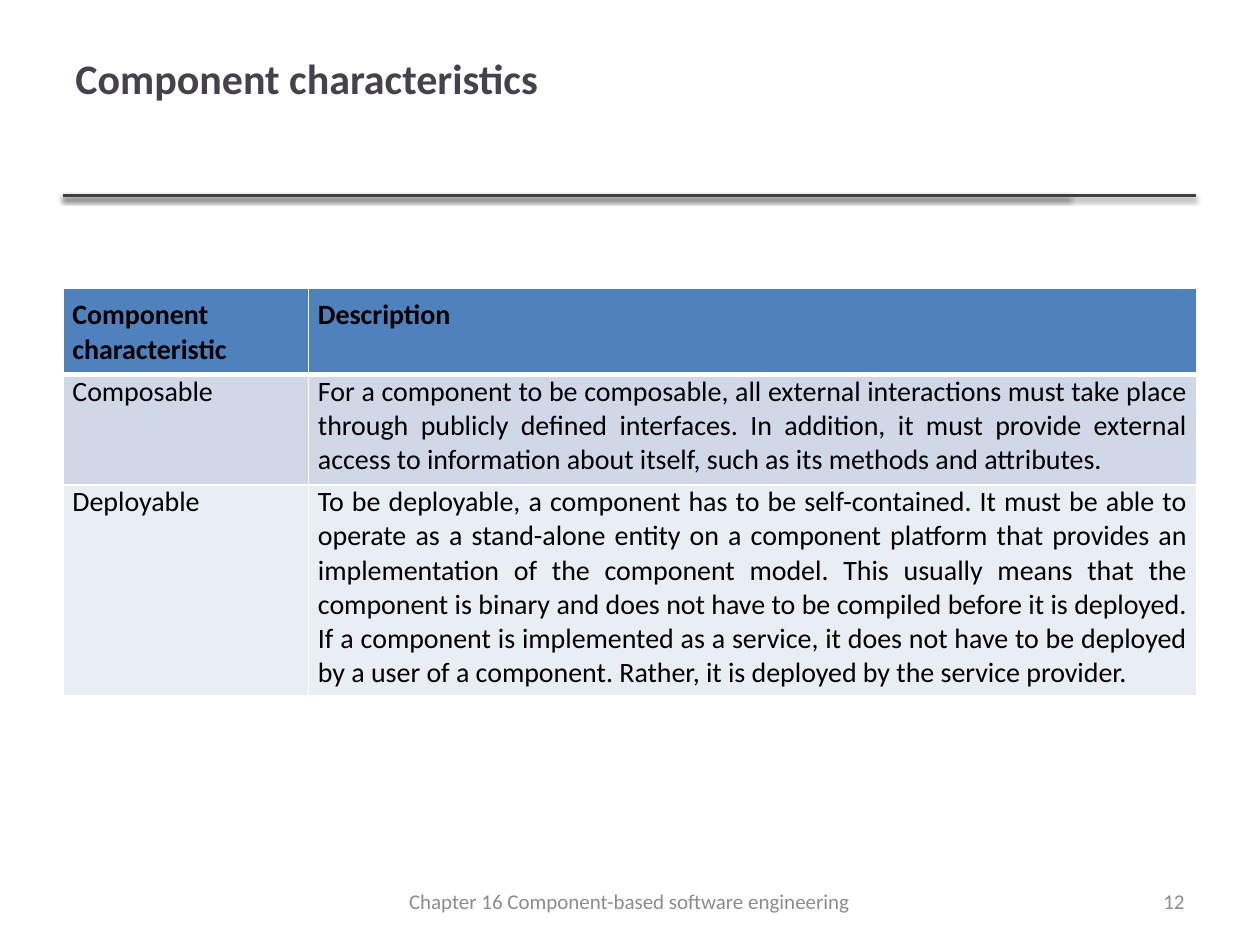
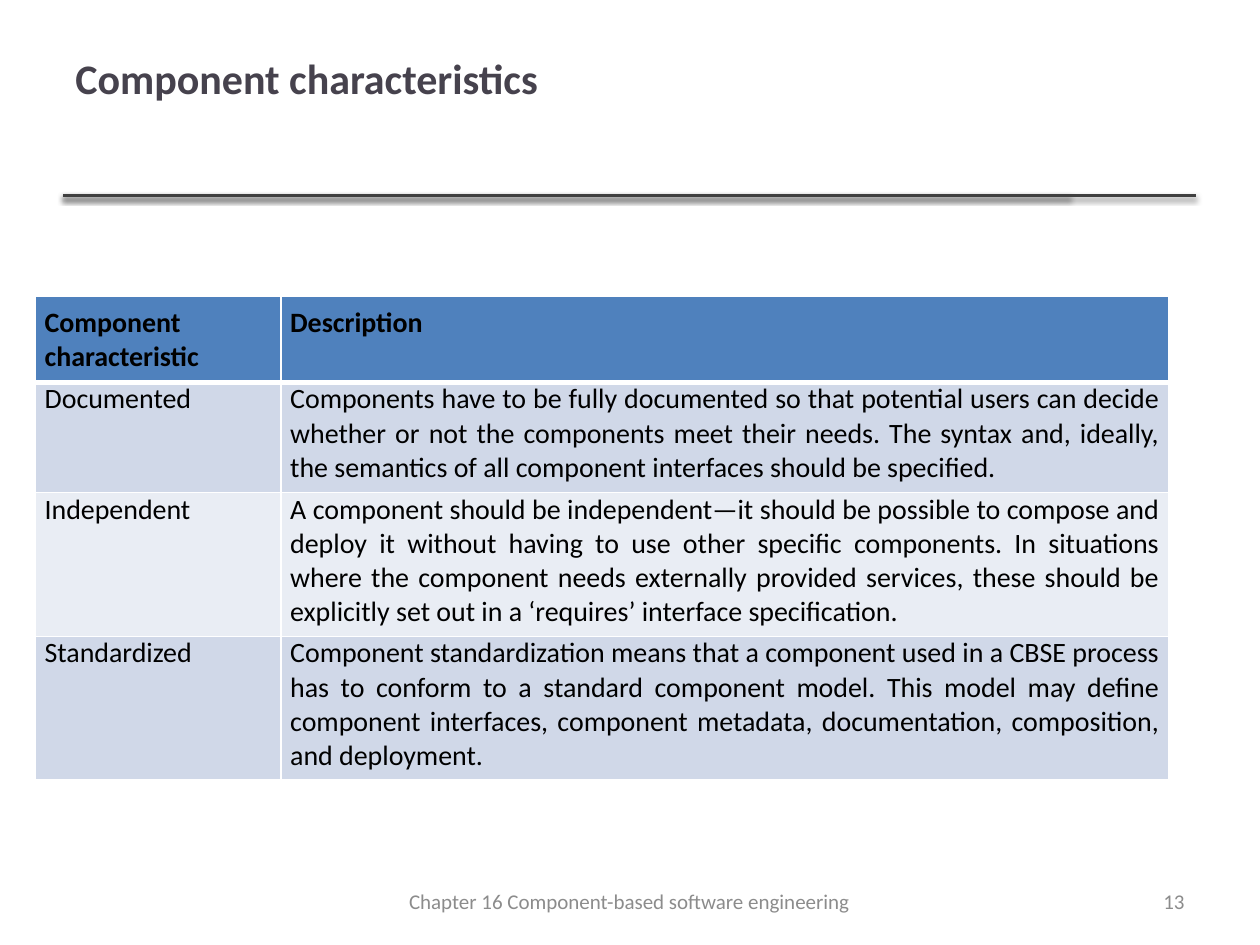
from dataclasses import dataclass

from lxml.etree import SubElement
from pptx import Presentation
from pptx.dml.color import RGBColor
from pptx.enum.shapes import MSO_CONNECTOR
from pptx.enum.text import MSO_ANCHOR, PP_ALIGN
from pptx.oxml import parse_xml
from pptx.oxml.ns import nsdecls, qn
from pptx.util import Cm, Pt

TITLE = "Component characteristics"
FOOTER = "Chapter 16 Component-based software engineering"
HEADER = ("Component characteristic", "Description")
SLIDES = [
    {
        "number": 12,
        "table_corner": (1.27, 5.82),
        "rows": [
            ("Composable",
             "For a component to be composable, all external interactions must take place "
             "through publicly defined interfaces. In addition, it must provide external "
             "access to information about itself, such as its methods and attributes."),
            ("Deployable",
             "To be deployable, a component has to be self-contained. It must be able to "
             "operate as a stand-alone entity on a component platform that provides an "
             "implementation of the component model. This usually means that the component "
             "is binary and does not have to be compiled before it is deployed. If a "
             "component is implemented as a service, it does not have to be deployed by a "
             "user of a component. Rather, it is deployed by the service provider."),
        ],
    },
    {
        "number": 13,
        "table_corner": (0.71, 5.97),
        "rows": [
            ("Documented",
             "Components have to be fully documented so that potential users can decide "
             "whether or not the components meet their needs. The syntax and, ideally, the "
             "semantics of all component interfaces should be specified."),
            ("Independent",
             "A component should be independent—it should be possible to compose and deploy "
             "it without having to use other specific components. In situations where the "
             "component needs externally provided services, these should be explicitly set "
             "out in a ‘requires’ interface specification."),
            ("Standardized",
             "Component standardization means that a component used in a CBSE process has to "
             "conform to a standard component model. This model may define component "
             "interfaces, component metadata, documentation, composition, and deployment."),
        ],
    },
]


@dataclass(frozen=True)
class Theme:
    font: str = "Calibri"
    title: str = "46424D"
    rule: str = "404040"
    text: str = "000000"
    footer: str = "8C8C8C"
    border: str = "FFFFFF"
    header_fill: str = "4F81BD"
    band_fills: tuple = ("D0D8E8", "E9EDF4")
    title_size: int = 24
    table_size: int = 16
    footer_size: int = 12


THEME = Theme()
MARGIN = 1.27
CONTENT_WIDTH = 22.86
COLUMN_WIDTHS = (4.95, 17.91)
ROW_HEIGHT = 1.04
CELL_INSET = 0.19
RULE_TOP = 3.94
RULE_ENDS = (21.56, 24.1)
FOOTER_TOP, FOOTER_HEIGHT = 17.65, 1.02


def write(frame, text, size, color, bold=False, align=PP_ALIGN.LEFT):
    frame.word_wrap = True
    paragraph = frame.paragraphs[0]
    paragraph.alignment = align
    run = paragraph.add_run()
    run.text = text
    run.font.name = THEME.font
    run.font.size = Pt(size)
    run.font.bold = bold
    run.font.color.rgb = RGBColor.from_string(color)


def add_label(slide, text, left, top, width, height, **text_format):
    box = slide.shapes.add_textbox(Cm(left), Cm(top), Cm(width), Cm(height))
    box.text_frame.vertical_anchor = MSO_ANCHOR.MIDDLE
    write(box.text_frame, text, **text_format)


def add_rule(slide, end):
    rule = slide.shapes.add_connector(
        MSO_CONNECTOR.STRAIGHT, Cm(MARGIN), Cm(RULE_TOP), Cm(end), Cm(RULE_TOP))
    rule.line.color.rgb = RGBColor.from_string(THEME.rule)
    rule.line.width = Pt(2)
    rule._element.spPr.append(parse_xml(
        f'<a:effectLst {nsdecls("a")}>'
        f'<a:outerShdw blurRad="{Pt(3.1)}" dist="{Pt(1.6)}" dir="5400000" rotWithShape="0">'
        '<a:srgbClr val="000000"><a:alpha val="38000"/></a:srgbClr>'
        '</a:outerShdw></a:effectLst>'))


def add_borders(cell, bottom):
    properties = cell._tc.get_or_add_tcPr()
    for side, width in (("L", 1), ("R", 1), ("T", 1), ("B", bottom)):
        line = SubElement(properties, qn(f"a:ln{side}"), w=str(Pt(width)))
        fill = SubElement(line, qn("a:solidFill"))
        SubElement(fill, qn("a:srgbClr"), val=THEME.border)


def add_characteristics(slide, corner, rows):
    left, top = corner
    table = slide.shapes.add_table(
        len(rows) + 1, len(HEADER), Cm(left), Cm(top),
        Cm(CONTENT_WIDTH), Cm(ROW_HEIGHT * (len(rows) + 1))).table
    table.horz_banding = False
    for column, width in zip(table.columns, COLUMN_WIDTHS):
        column.width = Cm(width)
    for row_index, texts in enumerate([HEADER, *rows]):
        is_header = row_index == 0
        fill = THEME.header_fill if is_header else THEME.band_fills[(row_index - 1) % 2]
        for column_index, text in enumerate(texts):
            cell = table.cell(row_index, column_index)
            cell.margin_left = cell.margin_right = cell.margin_bottom = Cm(CELL_INSET)
            cell.margin_top = Cm(CELL_INSET if is_header else 0)
            add_borders(cell, bottom=3 if is_header else 1)
            cell.fill.solid()
            cell.fill.fore_color.rgb = RGBColor.from_string(fill)
            write(cell.text_frame, text, size=THEME.table_size, color=THEME.text,
                  bold=is_header, align=PP_ALIGN.JUSTIFY)


def add_frame(slide, number):
    for end in RULE_ENDS:
        add_rule(slide, end)
    add_label(slide, TITLE, MARGIN, -0.03, CONTENT_WIDTH, 3.18,
              size=THEME.title_size, color=THEME.title, bold=True)
    for text, left, width, align in ((FOOTER, 7.19, 11, PP_ALIGN.CENTER),
                                     (str(number), 18.21, 5.92, PP_ALIGN.RIGHT)):
        add_label(slide, text, left, FOOTER_TOP, width, FOOTER_HEIGHT,
                  size=THEME.footer_size, color=THEME.footer, align=align)


def main():
    presentation = Presentation()
    presentation.slide_width = Cm(25.4)
    presentation.slide_height = Cm(19.05)
    for content in SLIDES:
        slide = presentation.slides.add_slide(presentation.slide_layouts[6])
        add_frame(slide, content["number"])
        add_characteristics(slide, content["table_corner"], content["rows"])
    presentation.save("out.pptx")


if __name__ == "__main__":
    main()
